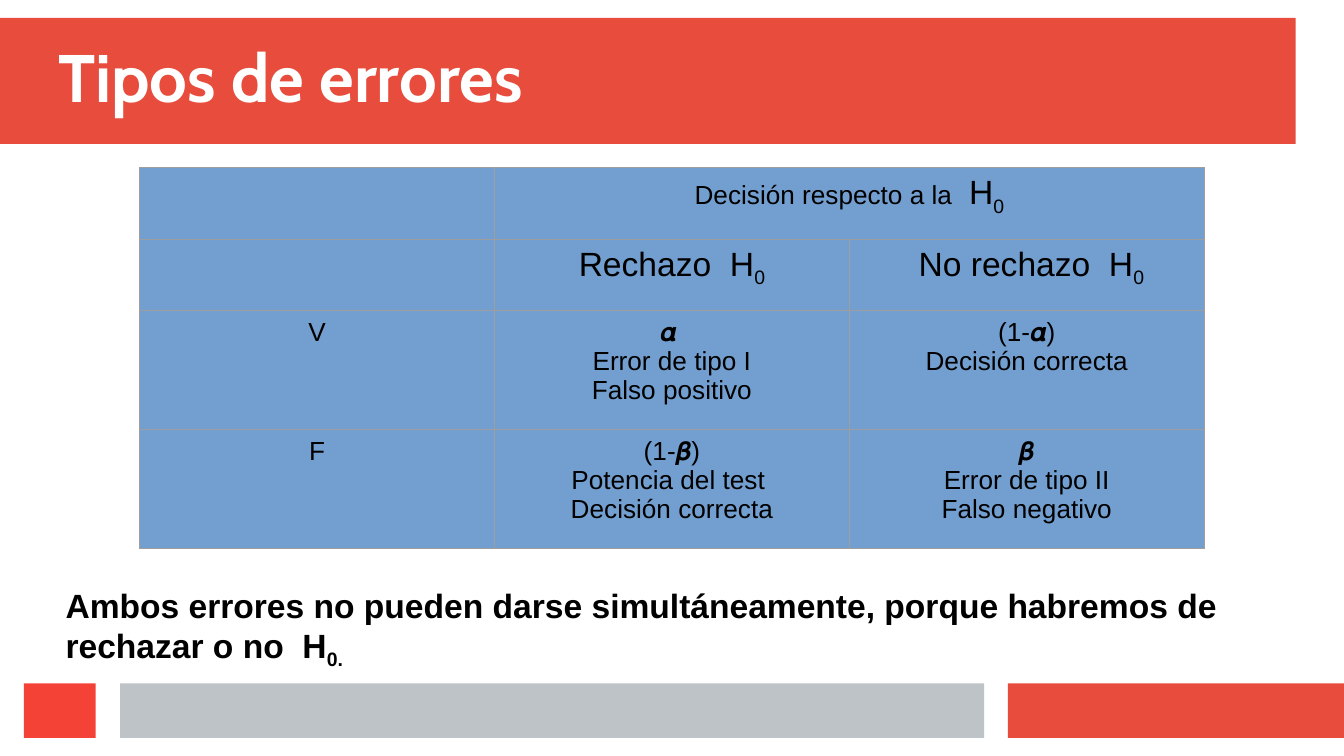
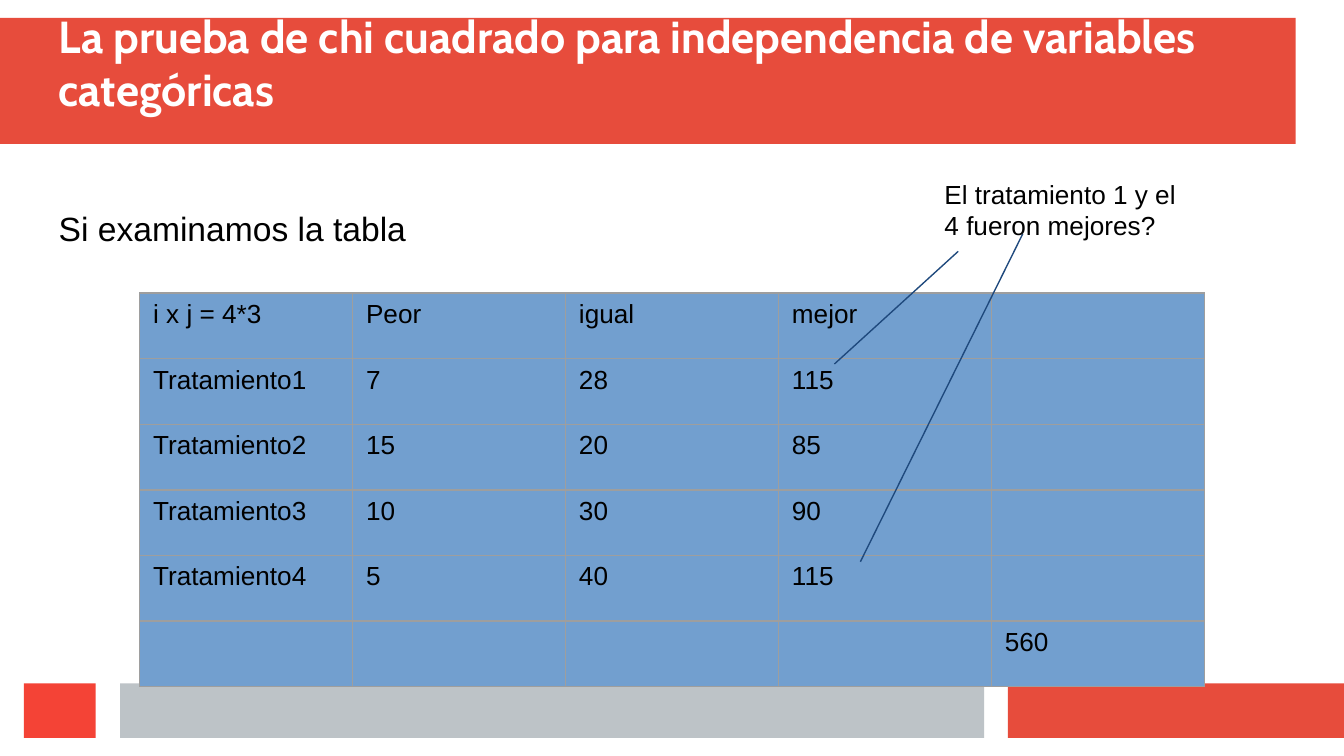
"""Builds two slides on error types and the chi-square test."""
import dataclasses

import lxml.etree
import pptx
import pptx.dml.color
import pptx.enum.shapes
import pptx.enum.text
import pptx.oxml.ns
import pptx.util

Cm = pptx.util.Cm
Pt = pptx.util.Pt
qn = pptx.oxml.ns.qn
Align = pptx.enum.text.PP_ALIGN
Anchor = pptx.enum.text.MSO_ANCHOR


@dataclasses.dataclass(frozen=True)
class Theme:
    """Colours, fonts and type sizes of the deck."""
    red: str = "E74C3C"
    bright: str = "F44336"
    grey: str = "BDC3C7"
    blue: str = "729FCF"
    edge: str = "9E9E9E"
    navy: str = "1F497D"
    white: str = "FFFFFF"
    black: str = "000000"
    head: str = "Cabin"
    body: str = "Arial"
    huge: int = 36
    large: int = 24
    mid: int = 18
    small: int = 14
    thin: float = 0.75


THEME = Theme()
BANDS = (
    (0, 0.34, 24.49, 2.38, THEME.red),
    (19.05, 12.92, 6.35, 1.03, THEME.red),
    (2.27, 12.92, 16.33, 1.03, THEME.grey),
    (0.45, 12.92, 1.36, 1.03, THEME.bright),
)
LEFT, WIDTH = 2.64, 20.12
SUB = ("0", {"size": THEME.mid, "sub": True})


def rgb(code):
    """Turn a hex code into a colour."""
    return pptx.dml.color.RGBColor.from_string(code)


def write(frame, lines, size=THEME.small, font=THEME.body, color=THEME.black,
          bold=False, align=Align.LEFT):
    """Fill a frame; a line is a string or a list of strings and (text, format) runs."""
    for index, line in enumerate(lines):
        para = frame.paragraphs[0] if index == 0 else frame.add_paragraph()
        para.alignment = align
        para.space_before = Pt(0)
        for part in [line] if isinstance(line, str) else line:
            words, style = (part, {}) if isinstance(part, str) else part
            run = para.add_run()
            run.text = words
            run.font.name = font
            run.font.size = Pt(style.get("size", size))
            run.font.bold = bold
            run.font.color.rgb = rgb(color)
            if style.get("sub"):
                run._r.get_or_add_rPr().set("baseline", "-25000")


def place(shape, left, top, width, height):
    """Move and size a shape, in centimetres."""
    shape.left, shape.top = Cm(left), Cm(top)
    shape.width, shape.height = Cm(width), Cm(height)


def set_frame(frame, inset, anchor=Anchor.TOP):
    """Set wrap, insets and anchor of a text frame."""
    frame.word_wrap = True
    frame.auto_size = pptx.enum.text.MSO_AUTO_SIZE.NONE
    frame.vertical_anchor = anchor
    frame.margin_left = frame.margin_right = Cm(inset)
    frame.margin_top = frame.margin_bottom = Cm(inset)


def add_bands(deck, slide):
    """Draw the bands and move them behind the master's placeholders."""
    tree = deck.slide_master.shapes.element
    kind = pptx.enum.shapes.MSO_SHAPE.RECTANGLE
    for index, (left, top, width, height, color) in enumerate(BANDS):
        band = slide.shapes.add_shape(kind, Cm(left), Cm(top), Cm(width), Cm(height))
        band.shadow.inherit = False
        band.fill.solid()
        band.fill.fore_color.rgb = rgb(color)
        band.line.fill.background()
        band.element.nvSpPr.cNvPr.set("id", str(100 + index))
        tree.insert(2 + index, band.element)


def add_title(slide, words, size):
    """Fill the title placeholder."""
    title = slide.shapes.title
    place(title, 0.91, 0.69, 23.57, 1.7)
    set_frame(title.text_frame, 0.2, Anchor.BOTTOM)
    write(title.text_frame, [words], size=size, font=THEME.head,
          color=THEME.white, bold=True)


def add_body(slide, words):
    """Fill the body placeholder without bullets."""
    body = slide.placeholders[1]
    place(body, 0.91, 3.73, 23.14, 8.84)
    set_frame(body.text_frame, 0.2)
    props = body.text_frame.paragraphs[0]._p.get_or_add_pPr()
    props.set("marL", "0")
    props.set("indent", "0")
    lxml.etree.SubElement(props, qn("a:buNone"))
    write(body.text_frame, [words], size=THEME.mid)


def add_note(slide, left, top, width, height, lines, **style):
    """Add a text box."""
    box = slide.shapes.add_textbox(Cm(left), Cm(top), Cm(width), Cm(height))
    set_frame(box.text_frame, 0.25)
    write(box.text_frame, lines, **style)


def paint(cell):
    """Give a cell its borders and fill."""
    props = cell._tc.get_or_add_tcPr()
    for side in ("lnL", "lnR", "lnT", "lnB"):
        line = lxml.etree.SubElement(props, qn("a:" + side), w=str(Pt(THEME.thin)))
        fill = lxml.etree.SubElement(line, qn("a:solidFill"))
        lxml.etree.SubElement(fill, qn("a:srgbClr"), val=THEME.edge)
    cell.fill.solid()
    cell.fill.fore_color.rgb = rgb(THEME.blue)


def add_grid(slide, top, rows, heights, align):
    """Add a table with equal columns; a cell is a list of lines."""
    count = len(rows[0])
    grid = slide.shapes.add_table(len(rows), count, Cm(LEFT), Cm(top),
                                  Cm(WIDTH), Cm(sum(heights))).table
    grid.first_row = grid.horz_banding = False
    for column in grid.columns:
        column.width = Cm(WIDTH / count)
    for index, (row, height) in enumerate(zip(rows, heights)):
        grid.rows[index].height = Cm(height)
        for place_x, lines in enumerate(row):
            cell = grid.cell(index, place_x)
            paint(cell)
            write(cell.text_frame, lines, align=align)
    return grid


def add_line(slide, start, end):
    """Add a thin line between two points."""
    kind = pptx.enum.shapes.MSO_CONNECTOR.STRAIGHT
    line = slide.shapes.add_connector(kind, *map(Cm, start + end))
    line.line.color.rgb = rgb(THEME.navy)
    line.line.width = Pt(THEME.thin)
    lxml.etree.SubElement(line.element.spPr, qn("a:effectLst"))


def add_errors(slide):
    """Build the slide on types of error."""
    add_title(slide, "Tipos de errores", THEME.huge)
    big = {"size": THEME.mid}
    rows = [
        [[], [["Decisión respecto a la ", (" H", big), SUB]], []],
        [[], [[("Rechazo  H", big), SUB]], [[(" No rechazo  H", big), SUB]]],
        [["V"], ["𝜶 ", "Error de tipo I", "Falso positivo"],
         ["(1-𝜶)", "Decisión correcta"]],
        [["F"], ["(1-𝜷)", "Potencia del test ", "Decisión correcta"],
         ["𝜷", "Error de tipo II", "Falso negativo"]],
    ]
    grid = add_grid(slide, 3.17, rows, [1.35, 1.35, 2.25, 2.25], Align.CENTER)
    grid.cell(0, 1).merge(grid.cell(0, 2))
    claim = ("Ambos errores no pueden darse simultáneamente, "
             "porque habremos de rechazar o no  H")
    add_note(slide, 0.99, 10.8, 23.93, 2.62,
             [[claim, ("0.", {"sub": True})]], size=THEME.mid, bold=True)


def add_test(slide):
    """Build the slide on the chi-square test."""
    add_title(slide, "La prueba de chi cuadrado para independencia de variables "
              "categóricas", THEME.large)
    add_body(slide, "Si examinamos la tabla")
    data = [
        ("i x j = 4*3", "Peor", "igual", "mejor", ""),
        ("Tratamiento1", "7", "28", "115", ""),
        ("Tratamiento2", "15", "20", "85", ""),
        ("Tratamiento3", "10", "30", "90", ""),
        ("Tratamiento4", "5", "40", "115", ""),
        ("", "", "", "", "560"),
    ]
    rows = [[[word] if word else [] for word in row] for row in data]
    add_grid(slide, 5.54, rows, [1.24] * len(rows), Align.LEFT)
    add_line(slide, (15.77, 6.88), (18.11, 4.75))
    add_line(slide, (16.26, 10.62), (19.33, 4.42))
    add_note(slide, 17.6, 3.12, 4.98, 1.27,
             ["El tratamiento 1 y el 4 fueron mejores?"])


def main():
    """Build and save the deck."""
    deck = pptx.Presentation()
    deck.slide_width, deck.slide_height = Cm(25.4), Cm(14.29)
    first = deck.slides.add_slide(deck.slide_layouts[5])
    add_bands(deck, first)
    add_errors(first)
    add_test(deck.slides.add_slide(deck.slide_layouts[1]))
    deck.save("out.pptx")


if __name__ == "__main__":
    main()
